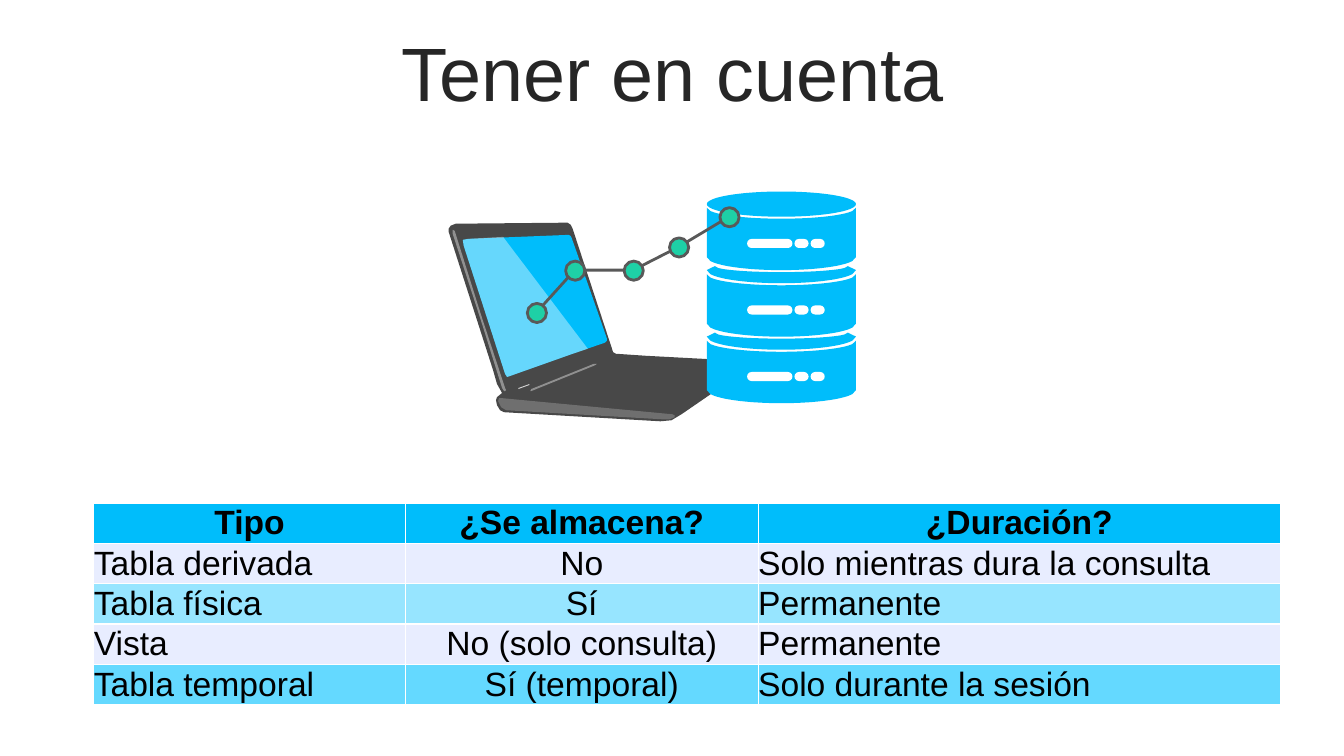
from math import sqrt

from lxml import etree
from pptx import Presentation
from pptx.dml.color import RGBColor
from pptx.enum.shapes import MSO_SHAPE
from pptx.enum.text import MSO_ANCHOR, PP_ALIGN
from pptx.oxml.ns import qn
from pptx.util import Pt

PX = 9144  # EMU per px, 100 px to the inch
OVAL, PILL = MSO_SHAPE.OVAL, MSO_SHAPE.ROUNDED_RECTANGLE
MIDDLE = MSO_ANCHOR.MIDDLE
LEFT, CENTER = PP_ALIGN.LEFT, PP_ALIGN.CENTER

BLACK = RGBColor(0x00, 0x00, 0x00)
WHITE = RGBColor(0xFF, 0xFF, 0xFF)
TITLE_GRAY = RGBColor(0x26, 0x26, 0x26)
BLUE = RGBColor(0x00, 0xBD, 0xFB)
SKY = RGBColor(0x64, 0xD9, 0xFF)
PALE_SKY = RGBColor(0x97, 0xE5, 0xFF)
LAVENDER = RGBColor(0xE8, 0xED, 0xFF)
GREEN = RGBColor(0x1E, 0xD0, 0xA6)
LINK_GRAY = RGBColor(0x59, 0x59, 0x59)
CASE_GRAY = RGBColor(0x48, 0x48, 0x48)
FRONT_GRAY = RGBColor(0x6F, 0x6F, 0x6F)
EDGE_GRAY = RGBColor(0x90, 0x90, 0x90)
LATCH_GRAY = RGBColor(0xD0, 0xD0, 0xD0)

deck = Presentation()
deck.slide_width, deck.slide_height = 1333 * PX, 750 * PX
page = deck.slides.add_slide(deck.slide_layouts[6])


def paint(shape, fill=None, line=None):
    shape.shadow.inherit = False
    if fill is None:
        shape.fill.background()
    else:
        shape.fill.solid()
        shape.fill.fore_color.rgb = fill
    if line is None:
        shape.line.fill.background()
    else:
        shape.line.color.rgb = line
        shape.line.width = Pt(2)


def outline(points, fill=None, line=None):
    corners = [(round(x * PX), round(y * PX)) for x, y in points]
    builder = page.shapes.build_freeform(*corners[0], scale=1.0)
    builder.add_line_segments(corners[1:], close=fill is not None)
    shape = builder.convert_to_shape()
    paint(shape, fill, line)
    return shape


# Title
box = page.shapes.add_textbox(34 * PX, 37 * PX, 1266 * PX, 79 * PX)
box.text_frame.word_wrap = True
box.text_frame.vertical_anchor = MIDDLE
para = box.text_frame.paragraphs[0]
para.alignment = CENTER
para.line_spacing = 0.9
span = para.add_run()
span.text = "Tener en cuenta"
span.font.name = "Arial"
span.font.size = Pt(54)
span.font.color.rgb = TITLE_GRAY

# Comparison table
ROWS = [
    (BLUE, ["Tipo", "¿Se almacena?", "¿Duración?"]),
    (LAVENDER, ["Tabla derivada", "No", "Solo mientras dura la consulta"]),
    (PALE_SKY, ["Tabla física", "Sí", "Permanente"]),
    (LAVENDER, ["Vista", "No (solo consulta)", "Permanente"]),
    (SKY, ["Tabla temporal", "Sí (temporal)", "Solo durante la sesión"]),
]
COLUMN_WIDTHS = [309, 350, 518]
ROW_HEIGHT = 37
table = page.shapes.add_table(
    len(ROWS), len(COLUMN_WIDTHS), 93 * PX, 499 * PX,
    sum(COLUMN_WIDTHS) * PX, len(ROWS) * ROW_HEIGHT * PX).table
table.horz_banding = False
for column, width in zip(table.columns, COLUMN_WIDTHS):
    column.width = width * PX
for r, (fill, texts) in enumerate(ROWS):
    table.rows[r].height = ROW_HEIGHT * PX
    for c, text in enumerate(texts):
        cell = table.cell(r, c)
        cell.margin_left = cell.margin_right = 0
        cell.margin_top = cell.margin_bottom = 0
        cell.vertical_anchor = MIDDLE
        para = cell.text_frame.paragraphs[0]
        para.alignment = CENTER if r == 0 or c == 1 else LEFT
        span = para.add_run()
        span.text = text
        span.font.name = "Arial"
        span.font.size = Pt(24)
        span.font.bold = r == 0
        span.font.color.rgb = BLACK
        # Borders come before the fill in the cell properties
        props = cell._tc.get_or_add_tcPr()
        for side in ("a:lnL", "a:lnR", "a:lnT", "a:lnB"):
            border = etree.SubElement(props, qn(side), w=str(Pt(1)))
            solid = etree.SubElement(border, qn("a:solidFill"))
            etree.SubElement(solid, qn("a:srgbClr"), val=str(WHITE))
        cell.fill.solid()
        cell.fill.fore_color.rgb = fill

# Laptop case and screen
outline([(742, 360), (738, 359), (715, 357), (640, 353), (611, 351), (609, 350),
         (608, 349), (568, 227), (566, 223), (563, 221), (558, 221), (452, 222),
         (447, 224), (445, 227), (445, 230), (489, 367), (493, 381), (498, 390),
         (493, 394), (492, 397), (493, 402), (496, 407), (500, 409), (655, 418),
         (666, 417), (676, 411), (740, 367), (742, 364)], CASE_GRAY)
outline([(602, 336), (593, 310), (567, 236), (566, 234), (564, 233), (465, 237),
         (459, 238), (460, 244), (501, 371), (503, 374), (506, 373), (568, 351),
         (600, 340), (602, 338)], BLUE)
glare = outline([(583, 346), (499, 235), (464, 237), (459, 238), (460, 244),
                 (501, 371), (503, 374), (506, 373), (568, 351)], WHITE)
glare_color = glare.fill._xPr.find(qn("a:solidFill"))[0]
etree.SubElement(glare_color, qn("a:alpha"), val="40000")

# Laptop front, edge highlights and latch
outline([(657, 416), (502, 407), (497, 404), (494, 398), (495, 395), (498, 395),
         (667, 411), (669, 412), (669, 414), (664, 416)], FRONT_GRAY)
outline([(502, 387), (501, 388), (500, 388), (498, 385), (478, 321), (449, 232),
         (449, 228), (451, 229), (477, 312), (501, 385)], EDGE_GRAY)
outline([(527, 388), (526, 388), (527, 386), (589, 361), (592, 361),
         (591, 362), (589, 363)], EDGE_GRAY)
outline([(514, 385), (525, 381), (525, 382), (514, 386)], LATCH_GRAY)

# Database: three stacked drums, each with a lid and three lights
DRUM_X, DRUM_RADIUS, DRUM_STEP = 775, 74, 66
ARC = [step / 20 for step in range(-20, 21)]
# Each band lies between an upper and a lower arc: (half width, edge y, depth)
SIDE = ((DRUM_RADIUS, 206, 11), (DRUM_RADIUS, 255, 13))
LID = ((66, 264, 6), (DRUM_RADIUS, 268, 13))
BANDS = [(SIDE, 0), (SIDE, 1), (SIDE, 2), (LID, 0), (LID, 1)]
for (upper, lower), level in BANDS:
    edges = [[(DRUM_X + radius * t, y + level * DRUM_STEP + depth * sqrt(1 - t * t))
              for t in ARC] for radius, y, depth in (upper, lower)]
    outline(edges[0] + edges[1][::-1], BLUE)
top = page.shapes.add_shape(OVAL, 701 * PX, 190 * PX, 148 * PX, 25 * PX)
paint(top, BLUE)
for level in range(3):
    for x, width in ((741, 45), (788, 14), (804, 14)):
        light = page.shapes.add_shape(
            PILL, x * PX, (237 + level * DRUM_STEP) * PX, width * PX, 9 * PX)
        light.adjustments[0] = 0.5
        paint(light, WHITE)

# Data link from the screen to the database
NODES = [(532, 310), (570, 268), (628, 268), (673, 245), (723, 215)]
NODE_SIZE = 19
outline(NODES, line=LINK_GRAY)
for x, y in NODES:
    node = page.shapes.add_shape(
        OVAL, (x - NODE_SIZE // 2) * PX, (y - NODE_SIZE // 2) * PX,
        NODE_SIZE * PX, NODE_SIZE * PX)
    paint(node, GREEN, LINK_GRAY)

deck.save("out.pptx")
